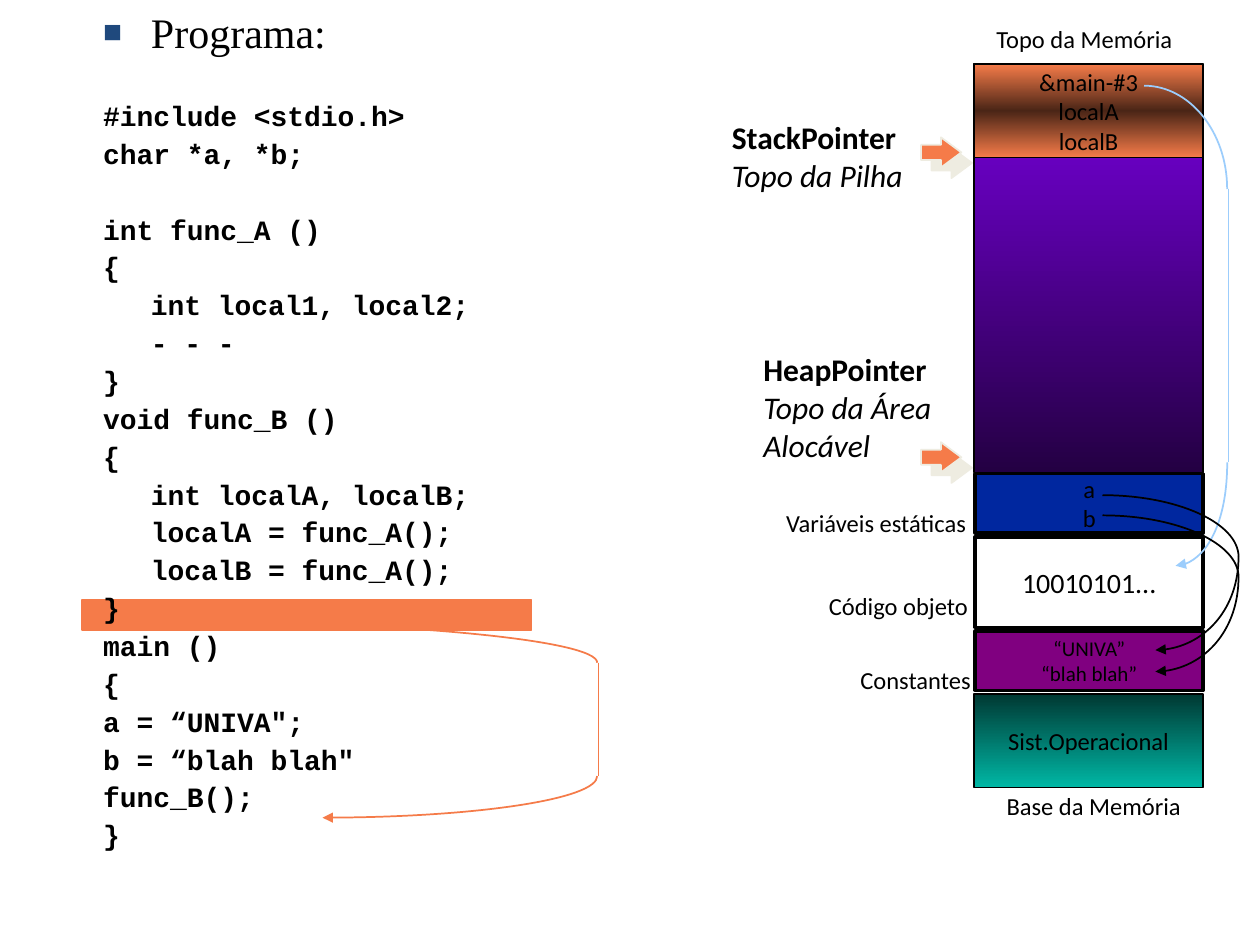
from copy import deepcopy

from lxml import etree
from pptx import Presentation
from pptx.dml.color import RGBColor
from pptx.enum import shapes, text
from pptx.oxml.ns import qn
from pptx.util import Inches, Pt

BLACK = RGBColor(0x00, 0x00, 0x00)
WHITE = RGBColor(0xFF, 0xFF, 0xFF)
ORANGE = RGBColor(0xF5, 0x7B, 0x49)
BROWN = RGBColor(0x4A, 0x25, 0x16)
VIOLET = RGBColor(0x7B, 0x00, 0xE4)
DARK_VIOLET = RGBColor(0x24, 0x00, 0x43)
PURPLE = RGBColor(0x80, 0x00, 0x80)
BLUE = RGBColor(0x00, 0x27, 0x9F)
LIGHT_BLUE = RGBColor(0x9C, 0xCD, 0xFC)
DARK_TEAL = RGBColor(0x00, 0x39, 0x33)
TEAL = RGBColor(0x00, 0xB7, 0xA5)
CREAM = RGBColor(0xEE, 0xEC, 0xE1)
NAVY = RGBColor(0x1F, 0x49, 0x7D)

INDENT = 0.38
CODE_GAP = 2.45
BLANK_LINE = 21.6
CODE = """#include <stdio.h>
char *a, *b;

int func_A ()
{
\tint local1, local2;
\t- - -
}
void func_B ()
{
\tint localA, localB;
\tlocalA = func_A();
\tlocalB = func_A();
}
main ()
{
a = “UNIVA";
b = “blah blah"
func_B();
}"""


def add_run(p, content, size, font="Calibri", bold=False, italic=False):
    r = p.add_run()
    r.text = content
    r.font.name, r.font.size = font, Pt(size)
    r.font.bold, r.font.italic = bold, italic
    r.font.color.rgb = BLACK


def next_paragraph(tf):
    return tf.add_paragraph() if tf.paragraphs[0].runs else tf.paragraphs[0]


def add_label(s, x, y, w, h, content, size=14, subtitle=()):
    tf = s.shapes.add_textbox(Inches(x), Inches(y), Inches(w), Inches(h)).text_frame
    tf.word_wrap = True
    add_run(tf.paragraphs[0], content, size, bold=bool(subtitle))
    for line in subtitle:
        add_run(tf.add_paragraph(), line, size, italic=True)


def add_preset(s, kind, x, y, w, h, colors, line, line_width=1):
    sp = s.shapes.add_shape(kind, Inches(x), Inches(y), Inches(w), Inches(h))
    sp.shadow.inherit = False
    if len(colors) == 1:
        sp.fill.solid()
        sp.fill.fore_color.rgb = colors[0]
    else:
        fill_gradient(sp.fill, colors)
    sp.line.color.rgb = line
    sp.line.width = Pt(line_width)
    return sp


def fill_gradient(fill, colors):
    fill.gradient()
    fill.gradient_angle = 270
    stops = fill._fill._gradFill.gsLst
    for _ in colors[2:]:
        stops.append(deepcopy(stops[-1]))
    for i, (stop, color) in enumerate(zip(fill.gradient_stops, colors)):
        stop.color.rgb = color
        stop.position = i / (len(colors) - 1)


def add_block(s, x, y, w, h, colors, lines=(), size=14, line_width=1):
    sp = add_preset(s, shapes.MSO_SHAPE.RECTANGLE, x, y, w, h, colors, BLACK, line_width)
    tf = sp.text_frame
    tf.word_wrap = False
    tf.vertical_anchor = text.MSO_ANCHOR.MIDDLE
    for line in lines:
        p = next_paragraph(tf)
        p.alignment = text.PP_ALIGN.CENTER
        add_run(p, line, size)


def add_pointer(s, y):
    sp = add_preset(s, shapes.MSO_SHAPE.RIGHT_ARROW, 7.31, y, 0.32, 0.24, [ORANGE], CREAM)
    sp.adjustments[1] = 0.677
    effects = sp._element.spPr.find(qn("a:effectLst"))
    shadow = etree.SubElement(effects, qn("a:outerShdw"), dist=str(Pt(8.5)),
                              dir="2700000", algn="ctr", rotWithShape="0")
    etree.SubElement(shadow, qn("a:srgbClr"), val=str(CREAM))


def add_arc(s, start, end, color, arrow=False):
    (x0, y0), (x1, y1) = start, end
    k = 0.55
    if arrow:
        controls = [(x0, y0 + k * (y1 - y0)), (x1 - k * (x1 - x0), y1)]
    else:
        controls = [(x0 + k * (x1 - x0), y0), (x1, y1 - k * (y1 - y0))]
    builder = s.shapes.build_freeform(Inches(x0), Inches(y0))
    builder.add_line_segments([(Inches(x), Inches(y)) for x, y in controls + [end]], close=False)
    sp = builder.convert_to_shape()
    segments = list(sp._element.iter(qn("a:lnTo")))
    curve = etree.SubElement(segments[0].getparent(), qn("a:cubicBezTo"))
    for segment in segments:
        curve.append(segment[0])
        segment.getparent().remove(segment)
    sp.shadow.inherit = False
    sp.fill.background()
    sp.line.color.rgb = color
    sp.line.width = Pt(1)
    if arrow:
        etree.SubElement(sp.line._get_or_add_ln(), qn("a:tailEnd"), type="triangle")


def add_line(s, x, y0, y1, color):
    c = s.shapes.add_connector(shapes.MSO_CONNECTOR.STRAIGHT,
                               Inches(x), Inches(y0), Inches(x), Inches(y1))
    c.line.color.rgb = color
    c.line.width = Pt(1)
    etree.SubElement(c._element.spPr, qn("a:effectLst"))


def set_bullet(p):
    pPr = p._p.get_or_add_pPr()
    pPr.set("marL", str(Inches(INDENT)))
    pPr.set("indent", str(-Inches(INDENT)))
    color = etree.SubElement(pPr, qn("a:buClr"))
    etree.SubElement(color, qn("a:srgbClr"), val=str(NAVY))
    etree.SubElement(pPr, qn("a:buSzPct"), val="75000")
    etree.SubElement(pPr, qn("a:buFont"), typeface="Times New Roman")
    etree.SubElement(pPr, qn("a:buChar"), char="■")


def add_program(s):
    tf = s.shapes.add_textbox(Inches(0.72), 0, Inches(4.5), Inches(6.92)).text_frame
    tf.word_wrap = True
    p = tf.paragraphs[0]
    p.space_before = Pt(4)
    set_bullet(p)
    add_run(p, "Programa:", 24, "Times New Roman")
    gap = CODE_GAP + BLANK_LINE
    for line in CODE.split("\n"):
        if not line:
            gap += BLANK_LINE
            continue
        p = tf.add_paragraph()
        p.space_before = Pt(gap)
        gap = CODE_GAP
        if line.startswith("\t"):
            p._p.get_or_add_pPr().set("marL", str(Inches(INDENT)))
        add_run(p, line.strip(), 16, "Courier New", bold=True)


def add_memory(s):
    add_block(s, 7.73, 5.51, 1.82, 0.74, [DARK_TEAL, TEAL], ["Sist.Operacional"])
    add_block(s, 7.74, 5.01, 1.81, 0.47, [PURPLE], ["“UNIVA”", "“blah blah”"], 12, 2)
    add_block(s, 7.74, 4.26, 1.81, 0.72, [WHITE], ["10010101..."], 16, 2)
    add_block(s, 7.73, 0.51, 1.82, 3.24, [VIOLET, DARK_VIOLET])
    add_block(s, 7.74, 3.76, 1.81, 0.47, [BLUE], ["a", "b"], 14, 2)
    add_block(s, 7.73, 0.51, 1.82, 0.74, [ORANGE, BROWN, ORANGE], ["&main-#3", "localA", "localB"])


def add_labels(s):
    add_pointer(s, 3.51)
    add_label(s, 5.96, 2.73, 1.57, 1, "HeapPointer", 18, ["Topo da Área", "Alocável"])
    add_pointer(s, 1.09)
    add_label(s, 5.71, 0.89, 1.63, 0.7, "StackPointer", 18, ["Topo da Pilha"])
    for x, y, w, content in [
        (7.81, 0.14, 1.6, "Topo da Memória"),
        (7.89, 6.23, 1.6, "Base da Memória"),
        (6.14, 3.98, 1.77, "Variáveis estáticas"),
        (6.48, 4.64, 1.77, "Código objeto"),
        (6.73, 5.23, 1.77, "Constantes"),
    ]:
        add_label(s, x, y, w, 0.33, content)


def add_flows(s):
    for start, top, bottom, end, color in [
        ((9.08, 0.68), (9.74, 1.5), (9.74, 3.67), (9.33, 4.49), LIGHT_BLUE),
        ((1.25, 4.93), (4.74, 5.26), (4.74, 6.16), (2.56, 6.49), ORANGE),
        ((8.75, 3.93), (9.83, 4.42), (9.83, 4.42), (9.17, 5.16), BLACK),
        ((8.75, 4.09), (9.83, 4.58), (9.83, 4.58), (9.17, 5.33), BLACK),
    ]:
        add_arc(s, start, top, color)
        add_arc(s, bottom, end, color, arrow=True)
        if top != bottom:
            add_line(s, top[0] + 0.01, top[1], bottom[1], color)


def main():
    prs = Presentation()
    prs.slide_width, prs.slide_height = Inches(10), Inches(7.5)
    s = prs.slides.add_slide(prs.slide_layouts[6])
    add_preset(s, shapes.MSO_SHAPE.RECTANGLE, 0.65, 4.76, 3.57, 0.24, [ORANGE], ORANGE)
    add_program(s)
    add_memory(s)
    add_labels(s)
    add_flows(s)
    prs.save("out.pptx")


if __name__ == "__main__":
    main()
